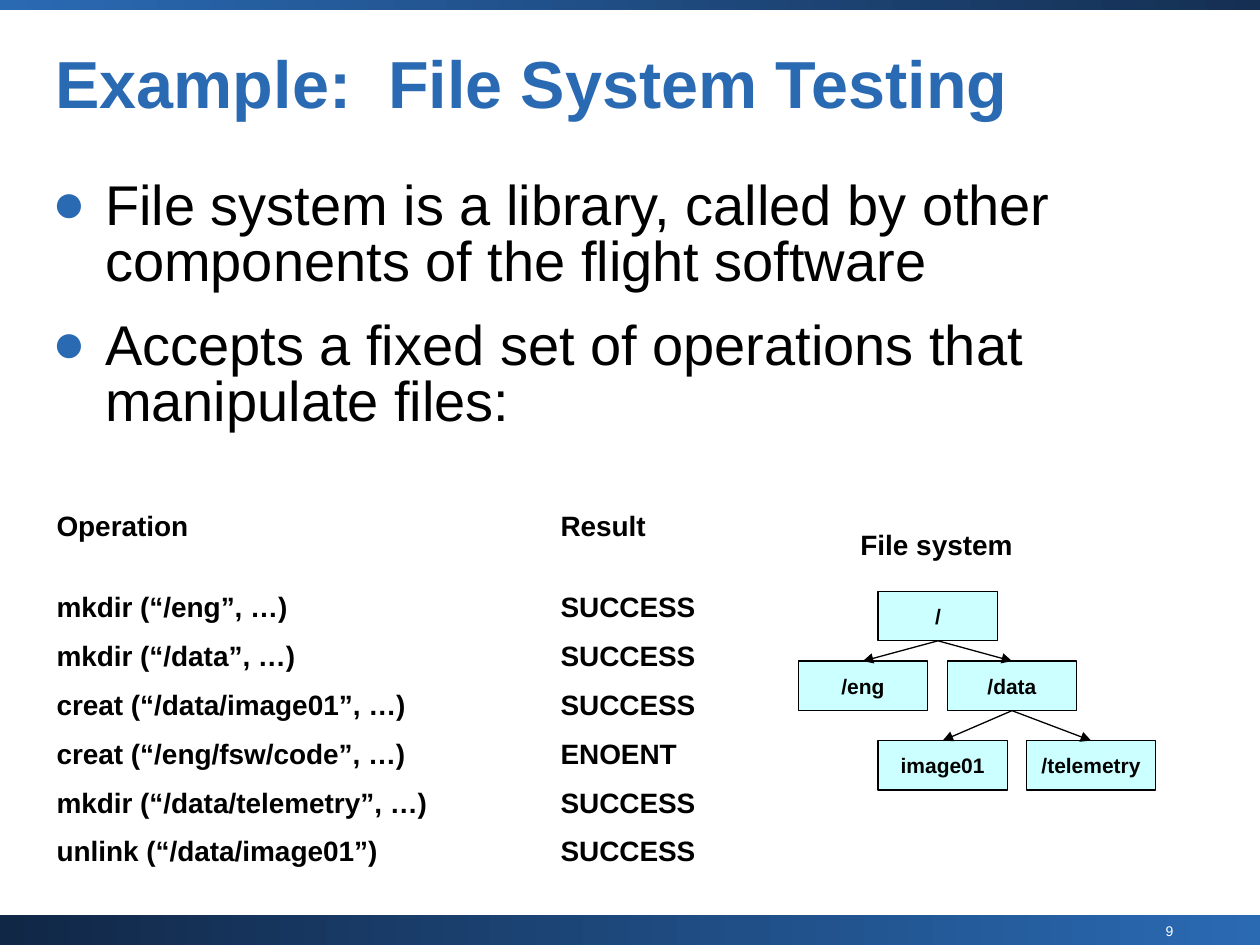
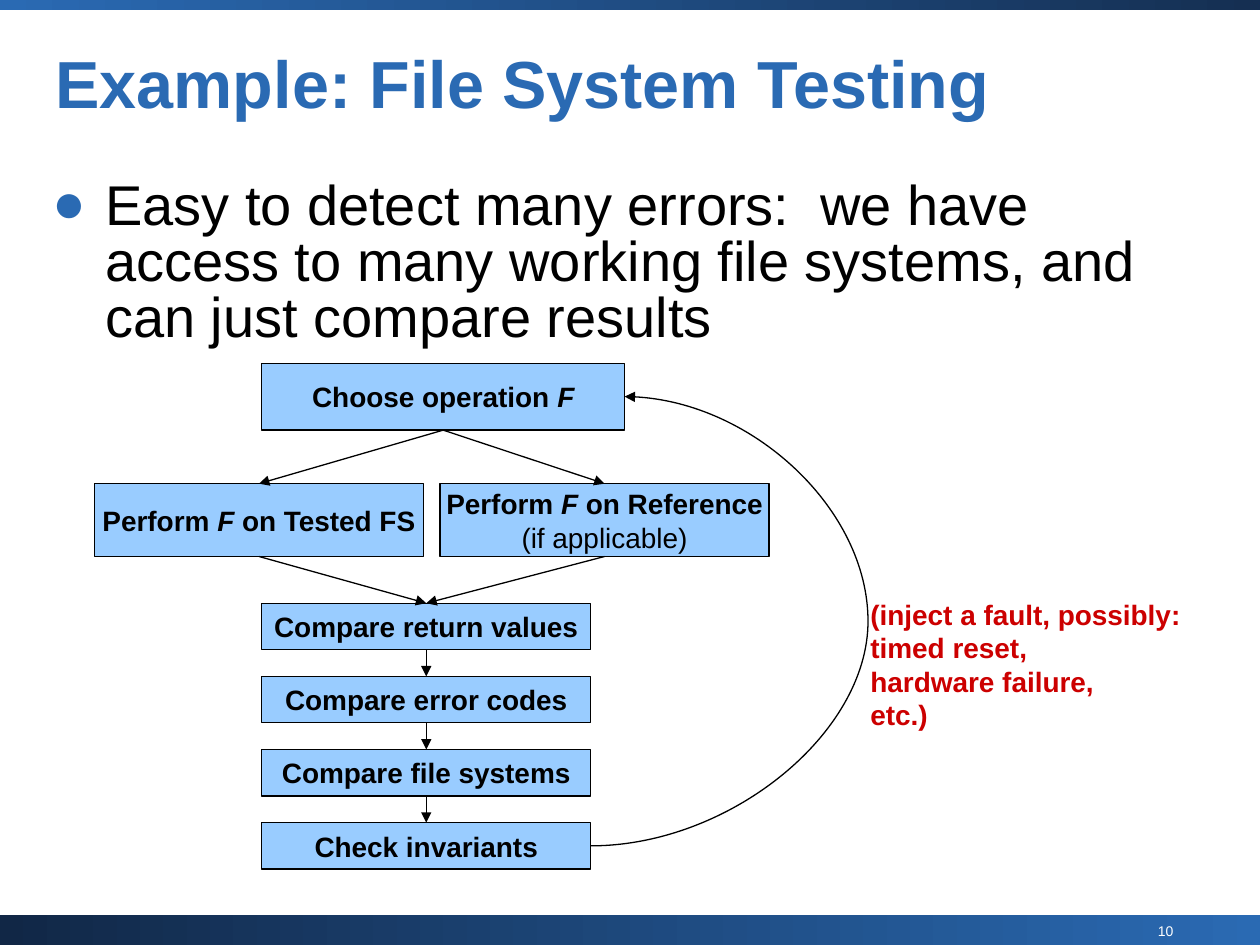
from lxml import etree
from pptx import Presentation
from pptx.dml.color import RGBColor
from pptx.enum import shapes, text
from pptx.oxml import ns
from pptx.util import Pt

COLORS = {"blue": "2A6AB3", "navy": "112746", "deep": "152F52", "white": "FFFFFF",
          "black": "000000", "cyan": "CCFFFF", "sky": "99CCFF", "red": "CC0000"}
RGB = {name: RGBColor.from_string(value) for name, value in COLORS.items()}
TOP, BOTTOM = 0, 2  # connection sites of a rectangle
CENTER, RIGHT = text.PP_ALIGN.CENTER, text.PP_ALIGN.RIGHT
STRAIGHT, CURVE = shapes.MSO_CONNECTOR.STRAIGHT, shapes.MSO_CONNECTOR.CURVE


def write(sp, lines, size, color="black", bold=True, para={}, frame={}):
    """Fill a shape with one paragraph per line; text between asterisks is italic."""
    tf = sp.text_frame
    for name, value in {"word_wrap": True, **frame}.items():
        setattr(tf, name, value)
    for n, line in enumerate(lines):
        p = tf.paragraphs[0] if n == 0 else tf.add_paragraph()
        for name, value in para.items():
            setattr(p, name, value)
        for k, part in enumerate(line.split("*")):
            if not part:
                continue
            r = p.add_run()
            r.text = part
            r.font.color.rgb = RGB[color]
            style = {"name": "Arial", "size": Pt(size), "bold": bold, "italic": k % 2 == 1}
            for name, value in style.items():
                setattr(r.font, name, value)
    return tf


def arrow(slide, kind, begin, end):
    cx = slide.shapes.add_connector(kind, *begin, *end)
    cx.line.color.rgb = RGB["black"]
    cx.line.width = Pt(0.75)
    pr = cx._element.spPr
    etree.SubElement(pr.find(ns.qn("a:ln")), ns.qn("a:tailEnd"), type="triangle")
    etree.SubElement(pr, ns.qn("a:effectLst"))
    return cx


# Each box: left, top, width, height, lines
STEP_W, STEP_H, STEP_TOP, STEP_PITCH = 188, 26.6, 344.7, 41.8
steps = ["Compare return values", "Compare error codes", "Compare file systems",
         "Check invariants"]
flow_boxes = {
    "choose": (149.6, 207.6, 207.3, 38.2, ["Choose operation *F*"]),
    "tested": (54, 276.4, STEP_W, 41.6, ["Perform *F* on Tested FS"]),
    "reference": (251.5, 276.4, STEP_W, 41.6, ["Perform *F* on Reference", "(if applicable)"]),
}
for i, step in enumerate(steps):
    flow_boxes[step] = (149.6, STEP_TOP + i * STEP_PITCH, STEP_W, STEP_H, [step])

NODE_W, NODE_H = 73.8, 28.3
tree_boxes = {
    "root": (501.8, 337.9, 68.4, NODE_H, ["/"]),
    "eng": (456.2, 377.8, NODE_W, NODE_H, ["/eng"]),
    "data": (541.4, 377.8, NODE_W, NODE_H, ["/data"]),
    "image": (501.8, 423.2, NODE_W, NODE_H, ["image01"]),
    "telemetry": (586.6, 423.2, NODE_W, NODE_H, ["/telemetry"]),
}

pages = [
    {"number": "9", "title": "Example:  File System Testing",
     "bullets": ["File system is a library, called by other components of the flight software",
                 "Accepts a fixed set of operations that manipulate files:"],
     "boxes": tree_boxes, "fill": "cyan", "size": 12,
     "links": [("root", "eng"), ("root", "data"), ("data", "image"), ("data", "telemetry")]},
    {"number": "10", "title": "Example: File System Testing",
     "bullets": ["Easy to detect many errors:  we have access to many working file systems, "
                 "and can just compare results"],
     "boxes": flow_boxes, "fill": "sky", "size": 16,
     "links": [("choose", "tested"), ("choose", "reference"), ("tested", steps[0]),
               ("reference", steps[0]), *zip(steps, steps[1:])]},
]

prs = Presentation()
prs.slide_width, prs.slide_height = Pt(720), Pt(540)
bands = [(522.7, 17.3, "navy", "blue"), (0, 5.8, "blue", "deep")]

slides = []
drawn = {}
for page in pages:
    s = prs.slides.add_slide(prs.slide_layouts[6])
    slides.append(s)

    for top, height, start, stop in bands:
        sp = s.shapes.add_shape(shapes.MSO_SHAPE.RECTANGLE, 0, Pt(top), Pt(720), Pt(height))
        sp.shadow.inherit = False
        sp.line.fill.background()
        sp.fill.gradient()
        sp.fill.gradient_angle = 0
        for grad_stop, color, position in zip(sp.fill.gradient_stops, (start, stop), (0, 1)):
            grad_stop.color.rgb = RGB[color]
            grad_stop.position = position

    sp = s.shapes.add_textbox(Pt(484.6), Pt(523.4), Pt(193), Pt(16.6))
    write(sp, [page["number"]], 8, "white", False, {"alignment": RIGHT})

    sp = s.shapes.add_textbox(Pt(31.7), Pt(19.4), Pt(686), Pt(61.2))
    margins = dict.fromkeys(["margin_left", "margin_top", "margin_right", "margin_bottom"], 0)
    write(sp, [page["title"]], 38, "blue", True, {"line_spacing": 0.87},
          {"vertical_anchor": text.MSO_ANCHOR.MIDDLE, **margins})

    sp = s.shapes.add_textbox(Pt(23), Pt(100), Pt(667.4), Pt(414))
    tf = write(sp, page["bullets"], 32, bold=False,
               para={"line_spacing": 0.83, "space_before": Pt(16)})
    for p in tf.paragraphs:
        pr = p._p.get_or_add_pPr()
        pr.set("marL", str(Pt(30)))
        pr.set("indent", str(-Pt(30)))
        color = etree.SubElement(pr, ns.qn("a:buClr"))
        etree.SubElement(color, ns.qn("a:srgbClr"), val=COLORS["blue"])
        etree.SubElement(pr, ns.qn("a:buFont"), typeface="Arial")
        etree.SubElement(pr, ns.qn("a:buChar"), char="●")

    for name, (*place, lines) in page["boxes"].items():
        sp = s.shapes.add_shape(shapes.MSO_SHAPE.RECTANGLE, *map(Pt, place))
        sp.shadow.inherit = False
        sp.fill.solid()
        sp.fill.fore_color.rgb = RGB[page["fill"]]
        sp.line.color.rgb = RGB["black"]
        sp.line.width = Pt(0.75)
        write(sp, lines, page["size"], para={"alignment": CENTER},
              frame={"word_wrap": False, "vertical_anchor": text.MSO_ANCHOR.MIDDLE})
        drawn[name] = sp

    for source, target in page["links"]:
        cx = arrow(s, STRAIGHT, (0, 0), (0, 0))
        cx.begin_connect(drawn[source], BOTTOM)
        cx.end_connect(drawn[target], TOP)

tree_slide, flow_slide = slides

# Operations and their results, aligned by one tab stop
operations = [
    ("Operation", "Result"),
    ("mkdir (“/eng”, …)", "SUCCESS"),
    ("mkdir (“/data”, …)", "SUCCESS"),
    ("creat (“/data/image01”, …)", "SUCCESS"),
    ("creat (“/eng/fsw/code”, …)", "ENOENT"),
    ("mkdir (“/data/telemetry”, …)", "SUCCESS"),
    ("unlink (“/data/image01”)", "SUCCESS"),
]
sp = tree_slide.shapes.add_textbox(Pt(25.2), Pt(287.3), Pt(385.2), Pt(218.9))
tf = write(sp, ["\t".join(row) for row in operations], 16, para={"space_before": Pt(8.7)})
tf.paragraphs[0].space_after = Pt(18.4)
for p in tf.paragraphs:
    tabs = etree.SubElement(p._p.get_or_add_pPr(), ns.qn("a:tabLst"))
    etree.SubElement(tabs, ns.qn("a:tab"), pos=str(Pt(288)), algn="l")

sp = tree_slide.shapes.add_textbox(Pt(484.6), Pt(298.1), Pt(101.5), Pt(26.6))
write(sp, ["File system"], 16, frame={"word_wrap": False})

# Loop back from the last step to the first
drawn["reference"].text_frame.paragraphs[1].runs[0].font.bold = False
last, first = drawn[steps[-1]], drawn["choose"]
begin = last.left + last.width, last.top + last.height // 2
end = first.left + first.width, first.top + first.height // 2
cx = arrow(flow_slide, CURVE, begin, end)
bend = round((Pt(496) - begin[0]) / (end[0] - begin[0]) * 100000)
guides = cx._element.spPr.find(ns.qn("a:prstGeom")).get_or_add_avLst()
etree.SubElement(guides, ns.qn("a:gd"), name="adj1", fmla=f"val {bend}")

sp = flow_slide.shapes.add_textbox(Pt(490.3), Pt(337.7), Pt(194.4), Pt(85))
write(sp, ["(inject a fault, possibly:", "timed reset,", "hardware failure,", "etc.)"],
      16, "red", frame={"word_wrap": False})

prs.save("out.pptx")
